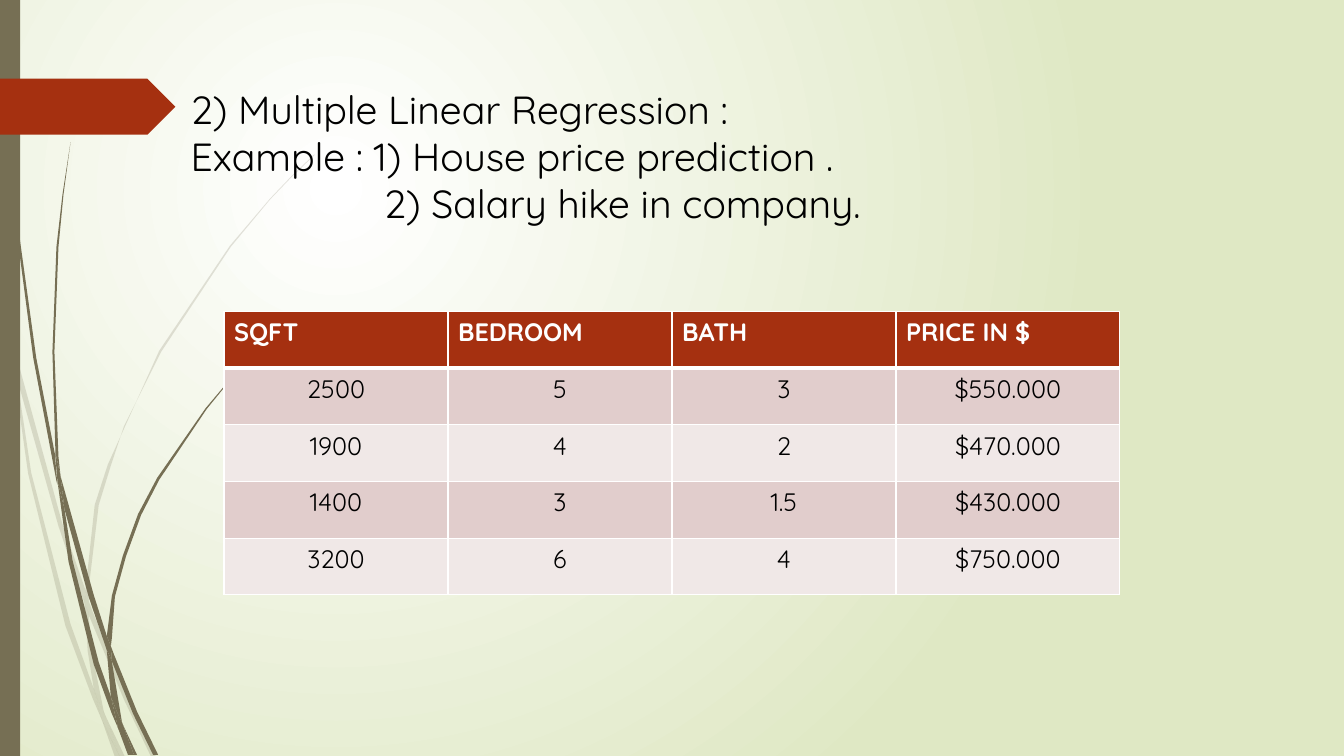
from dataclasses import dataclass

from lxml import etree
from pptx import Presentation
from pptx.dml.color import RGBColor
from pptx.enum import shapes, text
from pptx.oxml import ns
from pptx.util import Pt

# Content
HEADING = [  # (line, left indent in points)
    ("2) Multiple Linear Regression :", 0),
    ("Example : 1) House price prediction .", 0),
    ("2) Salary hike in company.", 138),
]
HOUSES = [
    ("SQFT", "BEDROOM", "BATH", "PRICE IN $"),
    ("2500", "5", "3", "$550.000"),
    ("1900", "4", "2", "$470.000"),
    ("1400", "3", "1.5", "$430.000"),
    ("3200", "6", "4", "$750.000"),
]

# Grass outlines, in units of 0.72 points
PALE_GRASS = [
    [(11, 350), (9, 322), (0, 282), (0, 299), (10, 344)],
    [(58, 522), (84, 599), (85, 586), (62, 520), (14, 345), (17, 376)],
    [(92, 607), (88, 596), (88, 610), (123, 694), (150, 751), (155, 751), (127, 692)],
    [(119, 751), (124, 751), (105, 711)],
    [(93, 683), (70, 619), (31, 469), (17, 376), (11, 350), (28, 470), (65, 621),
     (92, 693), (101, 714), (99, 707)],
    [(84, 599), (87, 646), (93, 683), (96, 692), (105, 711), (103, 706), (91, 646),
     (88, 610), (88, 608)],
    [(88, 584), (98, 501), (110, 462), (123, 423), (160, 349), (229, 245), (268, 198),
     (290, 175), (312, 154), (312, 153), (289, 175), (268, 197), (228, 244), (158, 348),
     (107, 461), (94, 501), (85, 584), (85, 586), (88, 596)],
    [(101, 714), (114, 751), (119, 751)],
    [(88, 608), (88, 610), (88, 596), (85, 586), (84, 599)],
    [(96, 692), (93, 683), (99, 707), (101, 714), (119, 751), (105, 711)],
]
DARK_GRASS = [
    [(7, 110), (17, 233), (33, 355), (56, 477), (57, 481), (55, 457), (55, 453),
     (36, 355), (19, 232), (8, 109), (5, 48), (4, 0), (3, 0), (4, 48)],
    [(88, 592), (106, 645), (106, 633), (106, 631), (93, 590), (60, 472), (64, 505)],
    [(113, 649), (110, 641), (111, 656), (132, 708), (152, 749), (157, 749), (136, 706)],
    [(110, 691), (98, 657), (72, 556), (64, 505), (57, 477), (68, 557), (93, 659),
     (111, 708), (117, 722), (116, 717)],
    [(60, 472), (58, 453), (54, 349), (58, 245), (63, 193), (70, 141), (62, 193),
     (56, 245), (52, 349), (55, 449)],
    [(133, 749), (136, 749), (122, 719)],
    [(57, 477), (64, 505), (60, 472), (55, 449), (55, 453)],
    [(111, 633), (114, 592), (125, 552), (140, 511), (158, 476), (205, 406), (231, 374),
     (245, 359), (261, 344), (260, 344), (245, 358), (231, 373), (204, 405), (156, 474),
     (137, 510), (122, 551), (111, 591), (106, 631), (110, 641)],
    [(117, 722), (127, 749), (131, 749)],
    [(106, 645), (110, 691), (116, 706), (122, 719), (121, 716), (111, 656), (109, 651)],
    [(106, 645), (109, 651), (111, 656), (110, 641), (106, 631), (106, 633)],
    [(116, 706), (110, 691), (116, 717), (117, 722), (130, 749), (133, 749), (122, 719)],
]


@dataclass(frozen=True)
class Theme:
    font: str = "Quicksand"
    heading_size: float = 28
    table_size: float = 18
    ink: str = "000000"
    white: str = "FFFFFF"
    olive: str = "766F54"
    rust: str = "A53010"
    meadow: str = "DFE8C4"
    bands: tuple = ("E1CDCC", "F0E8E7")


THEME = Theme()


def add_element(parent, tag, **attributes):
    return etree.SubElement(parent, ns.qn(tag), attributes)


def paint(shape, color, opacity=100):
    shape.shadow.inherit = False
    shape.fill.solid()
    shape.fill.fore_color.rgb = RGBColor.from_string(color)
    shape.line.fill.background()
    if opacity < 100:
        color_element = shape.element.spPr.find(ns.qn("a:solidFill"))[0]
        add_element(color_element, "a:alpha", val=str(opacity * 1000))


def add_run(paragraph, words, size, color, bold=False):
    run = paragraph.add_run()
    run.text = words
    run.font.name = THEME.font
    run.font.size = Pt(size)
    run.font.bold = bold
    run.font.color.rgb = RGBColor.from_string(color)


def set_background(slide):
    fill = slide.background.fill
    fill.gradient()
    for stop, color in zip(fill.gradient_stops, (THEME.white, THEME.meadow)):
        stop.color.rgb = RGBColor.from_string(color)
    gradient = next(slide.element.iter(ns.qn("a:gradFill")))
    gradient.remove(gradient.find(ns.qn("a:lin")))
    circle = add_element(gradient, "a:path", path="circle")
    add_element(circle, "a:fillToRect", l="50000", t="50000", r="100000", b="100000")


def add_grass(slide, blades, opacity):
    group = slide.shapes.add_group_shape()
    for start, *others in blades:
        builder = group.shapes.build_freeform(*start, scale=Pt(0.72))
        builder.add_line_segments(others, close=True)
        paint(builder.convert_to_shape(), THEME.olive, opacity)


def add_heading(slide):
    title = slide.shapes.title
    title.left, title.top, title.width, title.height = Pt(129), Pt(57.6), Pt(792), Pt(433)
    title.element.getparent().append(title.element)  # in front of the grass
    frame = title.text_frame
    frame.word_wrap = True
    frame.auto_size = text.MSO_AUTO_SIZE.NONE
    frame.vertical_anchor = text.MSO_ANCHOR.TOP
    for number, (line, indent) in enumerate(HEADING):
        paragraph = frame.add_paragraph() if number else frame.paragraphs[0]
        paragraph.alignment = text.PP_ALIGN.LEFT
        paragraph.line_spacing = Pt(33.6)
        paragraph._p.get_or_add_pPr().set("marL", str(Pt(indent)))
        add_run(paragraph, line, THEME.heading_size, THEME.ink)


def set_borders(cell, row):
    properties = cell._tc.get_or_add_tcPr()
    widths = {"L": 1, "R": 1, "T": 3 if row == 1 else 1, "B": 3 if row == 0 else 1}
    for position, (side, width) in enumerate(widths.items()):
        line = etree.Element(ns.qn(f"a:ln{side}"), w=str(Pt(width)))
        add_element(add_element(line, "a:solidFill"), "a:srgbClr", val=THEME.white)
        properties.insert(position, line)


def add_house_table(slide):
    rows, columns = len(HOUSES), len(HOUSES[0])
    table = slide.shapes.add_table(
        rows, columns, Pt(160), Pt(222.5), Pt(640), Pt(202.5)).table
    for row, values in enumerate(HOUSES):
        header = row == 0
        for column, value in enumerate(values):
            cell = table.cell(row, column)
            cell.fill.solid()
            cell.fill.fore_color.rgb = RGBColor.from_string(
                THEME.rust if header else THEME.bands[(row - 1) % 2])
            set_borders(cell, row)
            paragraph = cell.text_frame.paragraphs[0]
            paragraph.alignment = text.PP_ALIGN.LEFT if header else text.PP_ALIGN.CENTER
            add_run(paragraph, value, THEME.table_size,
                    THEME.white if header else THEME.ink, header)


def main():
    presentation = Presentation()
    presentation.slide_width, presentation.slide_height = Pt(960), Pt(540)
    slide = presentation.slides.add_slide(
        presentation.slide_layouts.get_by_name("Title Only"))

    # Backdrop
    set_background(slide)
    add_grass(slide, PALE_GRASS, 20)
    add_grass(slide, DARK_GRASS, 100)
    side_bar = slide.shapes.add_shape(
        shapes.MSO_SHAPE.RECTANGLE, 0, 0, Pt(14.4), Pt(540))
    paint(side_bar, THEME.olive)
    flag = slide.shapes.add_shape(
        shapes.MSO_SHAPE.PENTAGON, 0, Pt(56.2), Pt(125.3), Pt(40))
    paint(flag, THEME.rust)

    # Heading and table
    add_heading(slide)
    add_house_table(slide)
    presentation.save("out.pptx")


if __name__ == "__main__":
    main()
